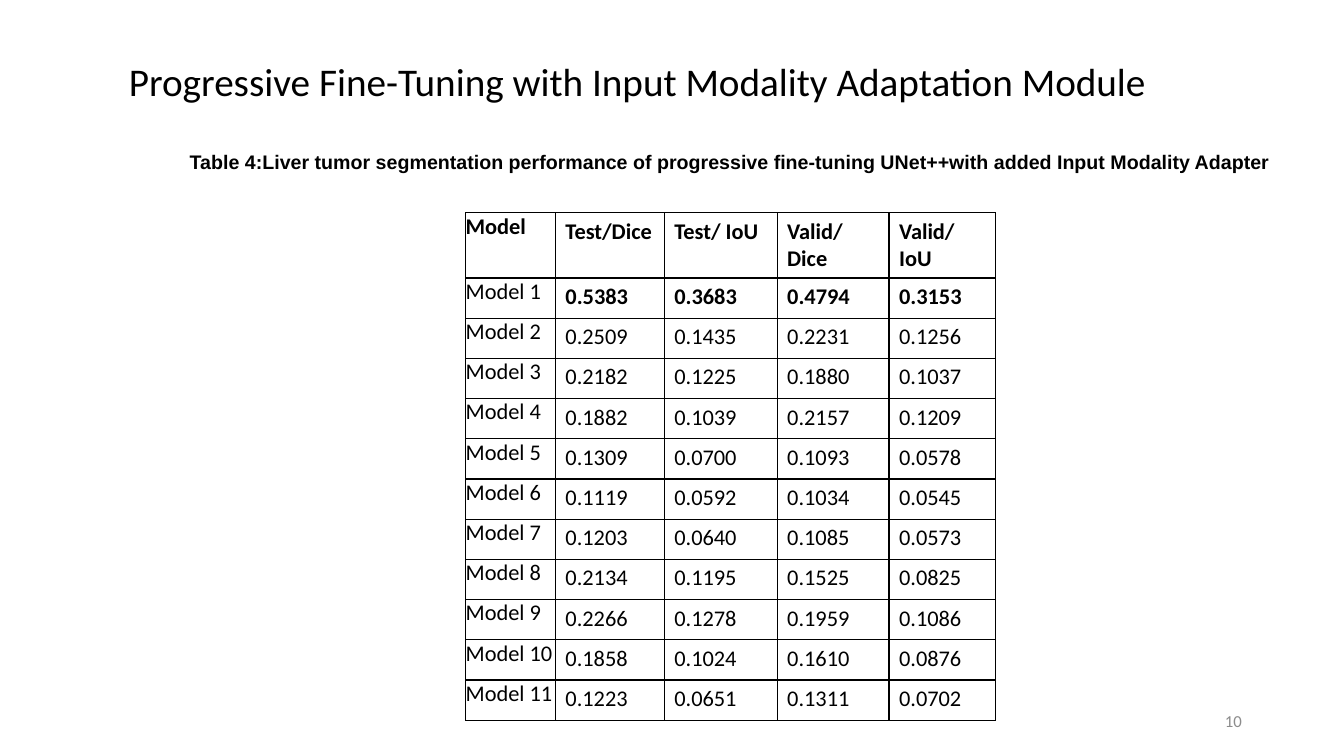
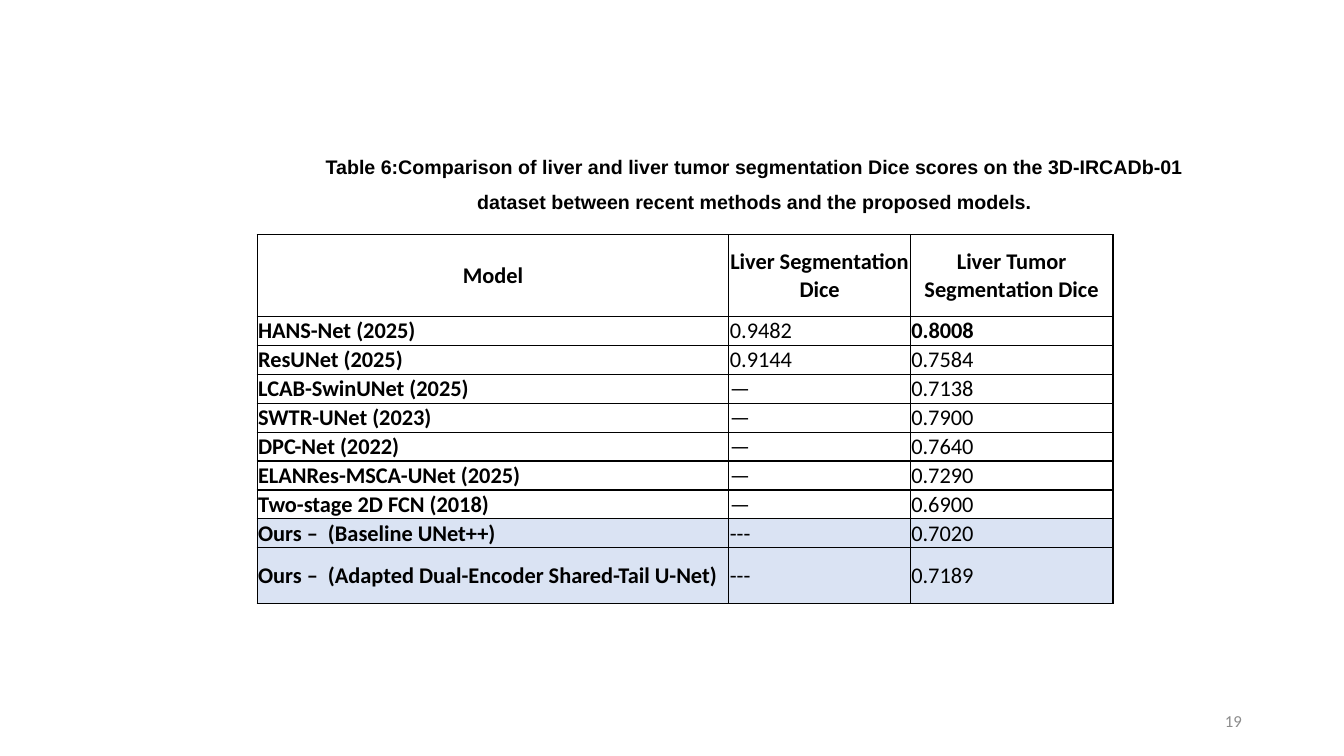
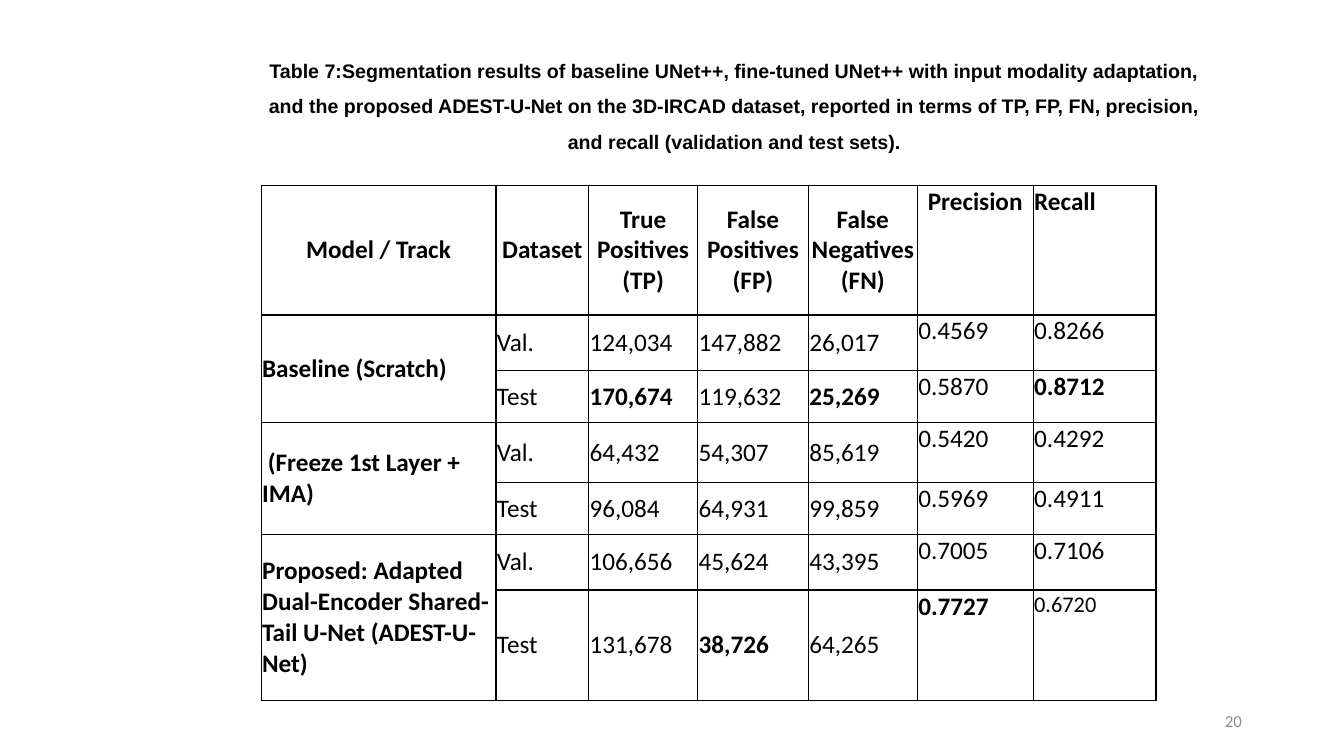
import pptx
import pptx.dml.color
import pptx.enum.text
import pptx.oxml
import pptx.oxml.ns
import pptx.util

ALIGN = pptx.enum.text.PP_ALIGN
ANCHOR = pptx.enum.text.MSO_ANCHOR
SLIDE_W = pptx.util.Inches(13.333)
SLIDE_H = pptx.util.Inches(7.5)
BLACK, GREY, PALE_BLUE = "000000", "8C8C8C", "DAE3F3"
BODY_FONT, CAPTION_FONT = "Calibri", "Arial"

TUNING_HEADER = ["Model", "Test/Dice", "Test/ IoU", "Valid/Dice", "Valid/ IoU"]
TUNING_SCORES = [
    ["0.5383", "0.3683", "0.4794", "0.3153"],
    ["0.2509", "0.1435", "0.2231", "0.1256"],
    ["0.2182", "0.1225", "0.1880", "0.1037"],
    ["0.1882", "0.1039", "0.2157", "0.1209"],
    ["0.1309", "0.0700", "0.1093", "0.0578"],
    ["0.1119", "0.0592", "0.1034", "0.0545"],
    ["0.1203", "0.0640", "0.1085", "0.0573"],
    ["0.2134", "0.1195", "0.1525", "0.0825"],
    ["0.2266", "0.1278", "0.1959", "0.1086"],
    ["0.1858", "0.1024", "0.1610", "0.0876"],
    ["0.1223", "0.0651", "0.1311", "0.0702"],
]
COMPARISON_ROWS = [
    ["Model", "Liver Segmentation Dice", "Liver Tumor Segmentation Dice"],
    ["HANS-Net (2025)", "0.9482", "0.8008"],
    ["ResUNet (2025)", "0.9144", "0.7584"],
    ["LCAB-SwinUNet (2025)", "—", "0.7138"],
    ["SWTR-UNet (2023)", "—", "0.7900"],
    ["DPC-Net (2022)", "—", "0.7640"],
    ["ELANRes-MSCA-UNet (2025)", "—", "0.7290"],
    ["Two-stage 2D FCN (2018)", "—", "0.6900"],
    ["Ours –  (Baseline UNet++)", "---", "0.7020"],
    ["Ours –  (Adapted Dual-Encoder Shared-Tail U-Net)", "---", "0.7189"],
]
RESULT_ROWS = [
    ["Model / Track", "Dataset", "True Positives (TP)", "False Positives (FP)",
     "False Negatives (FN)", "Precision", "Recall"],
    ["Baseline (Scratch)", "Val.", "124,034", "147,882", "26,017", "0.4569", "0.8266"],
    ["", "Test", "170,674", "119,632", "25,269", "0.5870", "0.8712"],
    [" (Freeze 1st Layer + IMA)", "Val.", "64,432", "54,307", "85,619", "0.5420", "0.4292"],
    ["", "Test", "96,084", "64,931", "99,859", "0.5969", "0.4911"],
    ["Proposed: Adapted Dual-Encoder Shared-Tail U-Net (ADEST-U-Net)",
     "Val.", "106,656", "45,624", "43,395", "0.7005", "0.7106"],
    ["", "Test", "131,678", "38,726", "64,265", "0.7727", "0.6720"],
]
BEST_RESULTS = {(2, 2), (2, 4), (2, 6), (6, 3), (6, 5)}


def color(hex_value):
    return pptx.dml.color.RGBColor.from_string(hex_value)


def percent_box(x, y, w, h):
    return [int(share * side / 100)
            for share, side in zip((x, y, w, h), (SLIDE_W, SLIDE_H) * 2)]


def write(tf, text, font=BODY_FONT, size=16, fill=BLACK, bold=False,
          align=ALIGN.LEFT, spacing=None, after=None):
    p = tf.paragraphs[0]
    p.alignment = align
    if spacing:
        p.line_spacing = spacing
    if after:
        p.space_after = pptx.util.Pt(after)
    r = p.add_run()
    r.text = text
    r.font.name = font
    r.font.size = pptx.util.Pt(size)
    r.font.bold = bold
    r.font.color.rgb = color(fill)


def add_text(slide, box, text, anchor=ANCHOR.TOP, indent=0, **fmt):
    tf = slide.shapes.add_textbox(*percent_box(*box)).text_frame
    tf.word_wrap = True
    tf.vertical_anchor = anchor
    tf.margin_left += int(indent * SLIDE_W / 100)
    write(tf, text, **fmt)


def add_caption(slide, box, text, **fmt):
    add_text(slide, box, text, font=CAPTION_FONT, size=14, bold=True,
             align=ALIGN.CENTER, after=10, **fmt)


def add_borders(cell):
    tc_pr = cell._tc.get_or_add_tcPr()
    for side in "LRTB":
        tc_pr.append(pptx.oxml.parse_xml(
            f'<a:ln{side} {pptx.oxml.ns.nsdecls("a")} w="12700"><a:solidFill>'
            f'<a:srgbClr val="{BLACK}"/></a:solidFill></a:ln{side}>'))


def set_margins(cell, inches):
    margin = pptx.util.Inches(inches)
    cell.margin_left = cell.margin_right = margin
    cell.margin_top = cell.margin_bottom = margin


def share_out(lines, attribute, weights, total):
    for line, weight in zip(lines, weights):
        setattr(line, attribute, int(total * weight / sum(weights)))


def add_table(slide, box, rows, widths, heights, style):
    x, y, w, h = percent_box(*box)
    table = slide.shapes.add_table(len(rows), len(widths), x, y, w, h).table
    table.first_row = table.horz_banding = False
    share_out(table.columns, "width", widths, w)
    share_out(table.rows, "height", heights, h)
    for i, row in enumerate(rows):
        for j, text in enumerate(row):
            cell = table.cell(i, j)
            fmt = style(i, j)
            margin = fmt.pop("margin", None)
            back = fmt.pop("back", None)
            cell.vertical_anchor = fmt.pop("anchor", ANCHOR.TOP)
            if margin is not None:
                set_margins(cell, margin)
            add_borders(cell)
            if back:
                cell.fill.solid()
                cell.fill.fore_color.rgb = color(back)
            else:
                cell.fill.background()
            if text:
                write(cell.text_frame, text, **fmt)
    return table


def tuning_style(i, j):
    return {"bold": i == 0 or (i == 1 and j > 0), "margin": 0 if j == 0 else None}


def comparison_style(i, j):
    return {"bold": i == 0 or j == 0 or (i, j) == (1, 2),
            "align": ALIGN.LEFT if i else ALIGN.CENTER,
            "anchor": ANCHOR.MIDDLE, "margin": 0.01,
            "back": PALE_BLUE if i >= 8 else None}


def result_style(i, j):
    return {"bold": i == 0 or j == 0 or (i, j) in BEST_RESULTS,
            "align": ALIGN.CENTER if i == 0 and j < 6 else ALIGN.LEFT,
            "anchor": ANCHOR.MIDDLE if j < 5 else ANCHOR.TOP,
            "size": 16 if (i, j) == (6, 6) else 18, "margin": 0.01}


def add_slide(prs, number):
    slide = prs.slides.add_slide(prs.slide_layouts[6])
    add_text(slide, (70.65, 92.67, 22.5, 5.33), str(number), size=12, fill=GREY,
             align=ALIGN.RIGHT, anchor=ANCHOR.MIDDLE)
    return slide


def tuning_slide(prs):
    slide = add_slide(prs, 10)
    rows = [TUNING_HEADER] + [[f"Model {n}"] + scores
                              for n, scores in enumerate(TUNING_SCORES, 1)]
    add_table(slide, (34.65, 28.13, 39.45, 67.2), rows, [89, 108, 112, 111, 106],
              [65] + [40] * len(TUNING_SCORES), tuning_style)
    add_caption(slide, (5.25, 19.2, 98.18, 4.53),
                "Table 4:Liver tumor segmentation performance of progressive "
                "fine-tuning UNet++with added Input Modality Adapter")
    add_text(slide, (8.85, 6.93, 82.28, 7.6),
             "Progressive Fine-Tuning with Input Modality Adaptation Module", size=28)


def comparison_slide(prs):
    slide = add_slide(prs, 19)
    add_table(slide, (19.13, 31.07, 63.68, 48.67), COMPARISON_ROWS, [468, 180, 201],
              [81] + [28.6] * 8 + [55], comparison_style)
    add_caption(slide, (12.38, 18.27, 77.18, 10.13),
                "Table 6:Comparison of liver and liver tumor segmentation Dice scores "
                "on the 3D-IRCADb-01 dataset between recent methods and the proposed "
                "models.", indent=10.35, spacing=1.5)


def result_slide(prs):
    slide = add_slide(prs, 20)
    table = add_table(slide, (19.43, 24.53, 66.6, 68.13), RESULT_ROWS,
                      [233, 92, 108, 110, 108, 115, 122],
                      [128, 55, 51, 60, 51, 55, 109], result_style)
    for i in range(1, len(RESULT_ROWS), 2):
        table.cell(i, 0).merge(table.cell(i + 1, 0))
    add_caption(slide, (9.75, 5.6, 80.4, 14.93),
                "Table 7:Segmentation results of baseline UNet++, fine-tuned UNet++ "
                "with input modality adaptation, and the proposed ADEST-U-Net on the "
                "3D-IRCAD dataset, reported in terms of TP, FP, FN, precision, and "
                "recall (validation and test sets).", indent=9.38, spacing=1.5)


def main():
    prs = pptx.Presentation()
    prs.slide_width, prs.slide_height = SLIDE_W, SLIDE_H
    tuning_slide(prs)
    comparison_slide(prs)
    result_slide(prs)
    prs.save("out.pptx")


if __name__ == "__main__":
    main()
